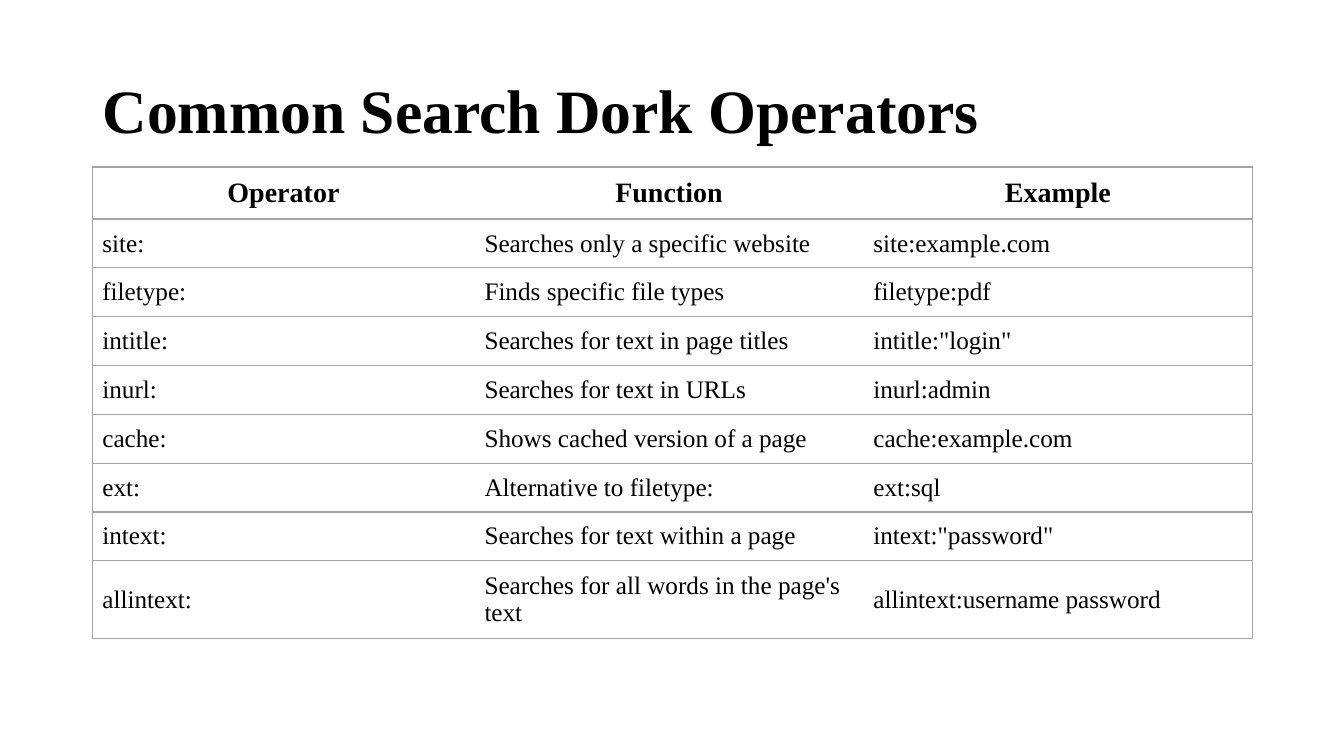
import pptx
import pptx.dml.color
import pptx.enum.text
import pptx.oxml
import pptx.oxml.ns
import pptx.util
from pptx.util import Cm

BLACK = pptx.dml.color.RGBColor(0x00, 0x00, 0x00)
WHITE = pptx.dml.color.RGBColor(0xFF, 0xFF, 0xFF)
GREY = pptx.dml.color.RGBColor(0xA5, 0xA5, 0xA5)

HEADINGS = ("Operator", "Function", "Example")
OPERATORS = (
    ("site:", "Searches only a specific website", "site:example.com"),
    ("filetype:", "Finds specific file types", "filetype:pdf"),
    ("intitle:", "Searches for text in page titles", 'intitle:"login"'),
    ("inurl:", "Searches for text in URLs", "inurl:admin"),
    ("cache:", "Shows cached version of a page", "cache:example.com"),
    ("ext:", "Alternative to filetype:", "ext:sql"),
    ("intext:", "Searches for text within a page", 'intext:"password"'),
    ("allintext:", "Searches for all words in the page's text",
     "allintext:username password"),
)
COLUMN_WIDTHS = (9.63, 9.8, 9.8)
ROW_HEIGHTS = (1.31, *[1.23] * 7, 1.95)


class OperatorSlide:
    font = "Times New Roman"
    margin = Cm(0.25)
    rule_width = pptx.util.Pt(1)

    def __init__(self, deck):
        self.slide = deck.slides.add_slide(deck.slide_layouts[5])

    def add_words(self, paragraph, words, size, bold, align):
        paragraph.alignment = align
        run = paragraph.add_run()
        run.text = words
        run.font.name = self.font
        run.font.size = pptx.util.Pt(size)
        run.font.bold = bold
        run.font.color.rgb = BLACK

    def title(self, words, left, top, width, height):
        heading = self.slide.shapes.title
        heading.left, heading.top = left, top
        heading.width, heading.height = width, height
        frame = heading.text_frame
        frame.word_wrap = True
        frame.auto_size = pptx.enum.text.MSO_AUTO_SIZE.NONE
        frame.vertical_anchor = pptx.enum.text.MSO_ANCHOR.MIDDLE
        frame.paragraphs[0].line_spacing = 0.9
        self.add_words(frame.paragraphs[0], words, 44, True,
                       pptx.enum.text.PP_ALIGN.LEFT)

    def borders(self, cell, visible):
        """Rule the sides named in visible and clear the others."""
        properties = cell._tc.get_or_add_tcPr()
        for side in "LRTB":
            paint = (f'<a:solidFill><a:srgbClr val="{GREY}"/></a:solidFill>'
                     if side in visible else "<a:noFill/>")
            properties.append(pptx.oxml.parse_xml(
                f'<a:ln{side} {pptx.oxml.ns.nsdecls("a")} '
                f'w="{self.rule_width}">{paint}</a:ln{side}>'))

    def cell(self, cell, words, is_heading, visible):
        self.borders(cell, visible)
        cell.fill.solid()
        cell.fill.fore_color.rgb = WHITE
        cell.margin_left = cell.margin_right = self.margin
        cell.margin_top = cell.margin_bottom = self.margin
        cell.vertical_anchor = pptx.enum.text.MSO_ANCHOR.MIDDLE
        align = pptx.enum.text.PP_ALIGN
        self.add_words(cell.text_frame.paragraphs[0], words,
                       20 if is_heading else 18, is_heading,
                       align.CENTER if is_heading else align.LEFT)

    def table(self, rows, left, top):
        grid = self.slide.shapes.add_table(
            len(rows), len(COLUMN_WIDTHS), left, top,
            Cm(sum(COLUMN_WIDTHS)), Cm(sum(ROW_HEIGHTS))).table
        grid.horz_banding = False
        for column, width in zip(grid.columns, COLUMN_WIDTHS):
            column.width = Cm(width)
        outer_sides = {0: "L", len(COLUMN_WIDTHS) - 1: "R"}
        for r, (row, height) in enumerate(zip(rows, ROW_HEIGHTS)):
            grid.rows[r].height = Cm(height)
            for c, words in enumerate(row):
                self.cell(grid.cell(r, c), words, r == 0,
                          "TB" + outer_sides.get(c, ""))


def main():
    deck = pptx.Presentation()
    deck.slide_width, deck.slide_height = Cm(33.87), Cm(19.05)
    page = OperatorSlide(deck)
    page.title("Common Search Dork Operators",
               Cm(2.33), Cm(1.01), Cm(29.21), Cm(3.68))
    page.table((HEADINGS, *OPERATORS), Cm(2.33), Cm(4.21))
    deck.save("out.pptx")


if __name__ == "__main__":
    main()
